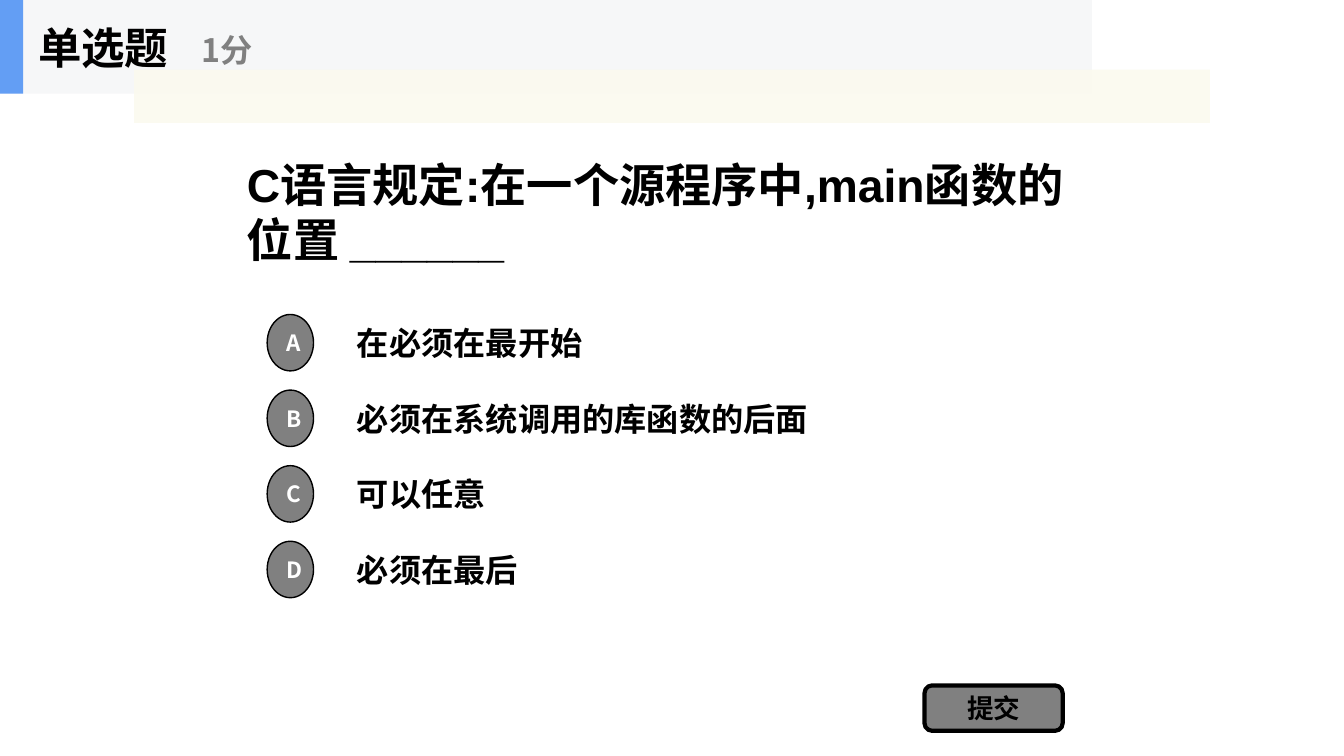
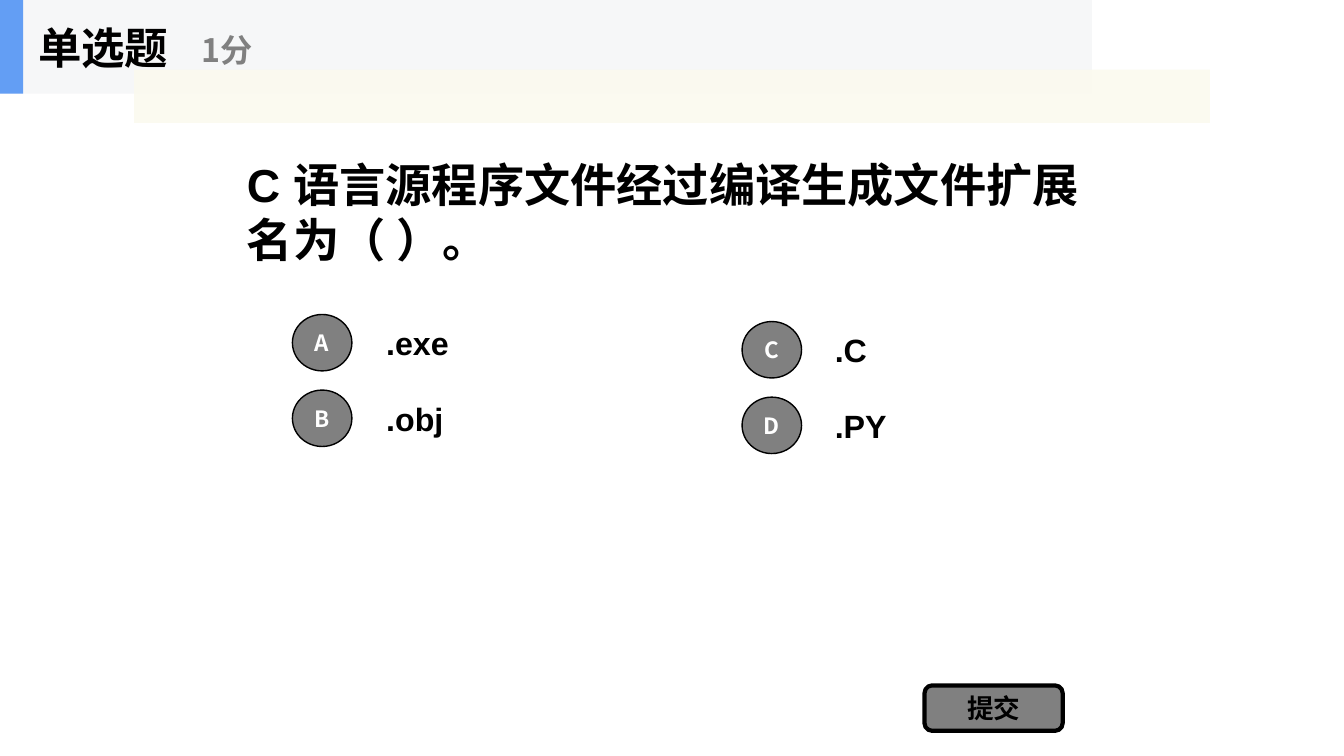
import lxml.etree
import pptx
import pptx.dml.color
import pptx.enum.shapes
import pptx.enum.text
import pptx.oxml.ns
import pptx.util

PX = 9144  # 100 px to the inch
LATIN, CHINESE = "Arial", "Noto Sans CJK SC"
BLACK, WHITE, GREY = "000000", "FFFFFF", "808080"
HEADER, ACCENT, NOTE_BAND = "F6F7F8", "639EF4", "FBFAEF"
SHAPES = pptx.enum.shapes.MSO_SHAPE
OPTION_STEP = 75

# Each column: badge left, badge width, text left, text width, first text top, options
QUESTIONS = [
    (
        "C语言规定:在一个源程序中,main函数的位置 ______",
        [
            (265, 46, 342, 758, 305, [
                ("A", "在必须在最开始"),
                ("B", "必须在系统调用的库函数的后面"),
                ("C", "可以任意"),
                ("D", "必须在最后"),
            ]),
        ],
    ),
    (
        "C 语言源程序文件经过编译生成文件扩展名为（ ）。",
        [
            (290, 59, 371, 119, 305, [("A", ".exe"), ("B", ".obj")]),
            (736, 59, 816, 119, 312, [("C", ".C"), ("D", ".PY")]),
        ],
    ),
]


def rgb(color):
    return pptx.dml.color.RGBColor.from_string(color)


def add_box(slide, box, text="", size=23, font=LATIN, color=BLACK, kind=None,
            fill=None, line=0, inset=(12, 6)):
    """Add a text box, or a filled preset shape with centred text if kind is given."""
    bounds = [length * PX for length in box]
    if kind is None:
        shape = slide.shapes.add_textbox(*bounds)
    else:
        shape = slide.shapes.add_shape(kind, *bounds)
        shape.shadow.inherit = False
        shape.fill.solid()
        shape.fill.fore_color.rgb = rgb(fill)
        if line:
            shape.line.color.rgb = rgb(BLACK)
            shape.line.width = pptx.util.Pt(line)
        else:
            shape.line.fill.background()
    if not text:
        return shape
    frame = shape.text_frame
    frame.text = text
    frame.word_wrap = True
    frame.vertical_anchor = pptx.enum.text.MSO_ANCHOR.MIDDLE
    frame.margin_left = frame.margin_right = inset[0] * PX
    frame.margin_top = frame.margin_bottom = inset[1] * PX
    paragraph = frame.paragraphs[0]
    alignment = pptx.enum.text.PP_ALIGN
    paragraph.alignment = alignment.LEFT if kind is None else alignment.CENTER
    for run in paragraph.runs:
        run.font.size = pptx.util.Pt(size)
        run.font.bold = True
        run.font.color.rgb = rgb(color)
        run.font.name = font
        east_asian = lxml.etree.SubElement(run.font._element, pptx.oxml.ns.qn("a:ea"))
        east_asian.set("typeface", CHINESE)
    return shape


presentation = pptx.Presentation()
presentation.slide_width = 1333 * PX
presentation.slide_height = 750 * PX

for question, columns in QUESTIONS:
    slide = presentation.slides.add_slide(presentation.slide_layouts[6])
    add_box(slide, (233, 93, 867, 234), question, 33)

    for badge_left, badge_width, text_left, text_width, top, options in columns:
        for row, (letter, answer) in enumerate(options):
            y = top + row * OPTION_STEP
            add_box(slide, (text_left, y, text_width, 70), answer)
            add_box(slide, (badge_left, y + 7, badge_width, 56), letter, 16, CHINESE,
                    WHITE, SHAPES.OVAL, GREY, 1)

    add_box(slide, (917, 680, 137, 45), "提交", 19, CHINESE, BLACK,
            SHAPES.ROUNDED_RECTANGLE, GREY, 3)

    add_box(slide, (0, 0, 1083, 93), kind=SHAPES.RECTANGLE, fill=HEADER)
    add_box(slide, (0, 0, 23, 93), kind=SHAPES.RECTANGLE, fill=ACCENT)
    add_box(slide, (28, 0, 226, 93), "单选题", 31, CHINESE, inset=(10, 5))
    add_box(slide, (190, 12, 271, 74), "1分", 23, CHINESE, GREY, inset=(10, 5))

    note_band = add_box(slide, (133, 69, 1067, 53), kind=SHAPES.RECTANGLE, fill=NOTE_BAND)
    band_color = note_band.fill._xPr.find(".//" + pptx.oxml.ns.qn("a:srgbClr"))
    lxml.etree.SubElement(band_color, pptx.oxml.ns.qn("a:alpha")).set("val", "90000")

presentation.save("out.pptx")
